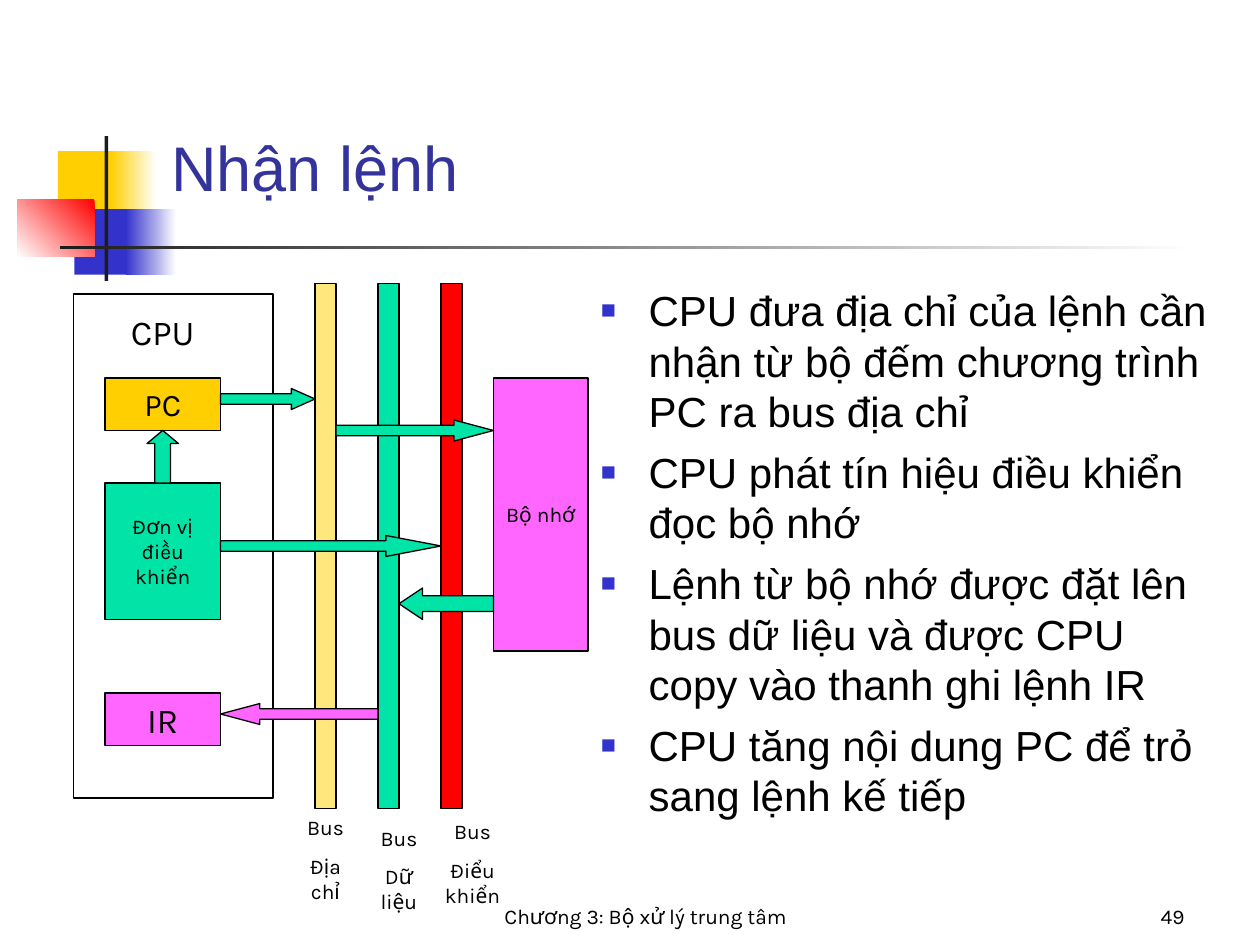
from lxml.etree import SubElement
from pptx import Presentation
from pptx.dml.color import RGBColor
from pptx.enum.shapes import MSO_SHAPE
from pptx.enum.text import MSO_ANCHOR, PP_ALIGN
from pptx.oxml.ns import qn
from pptx.util import Inches, Pt

COLORS = {
    "white": "FFFFFF", "black": "000000", "ink": "1C1C1C", "title": "33339B",
    "yellow": "FFCF01", "sand": "FFE67D", "blue": "3333CC", "red": "FF0000",
    "green": "00E4A8", "pink": "FF66FF",
}
UNIT = 1 / 12  # grid step in inches: the slide is 120 columns by 90 rows

TITLE = "Nhận lệnh"
BULLETS = [
    "CPU đưa địa chỉ của lệnh cần nhận từ bộ đếm chương trình PC ra bus địa chỉ",
    "CPU phát tín hiệu điều khiển đọc bộ nhớ",
    "Lệnh từ bộ nhớ được đặt lên bus dữ liệu và được CPU copy vào thanh ghi lệnh IR",
    "CPU tăng nội dung PC để trỏ sang lệnh kế tiếp",
]

# Decoration in inches: left, top, width, height, colours, gradient angle
DECOR = [
    (0.46, 1.2, 0.48, 0.52, ["yellow"], None),
    (0.88, 1.2, 0.36, 0.52, ["white", "yellow"], 180),
    (0.59, 1.66, 0.46, 0.52, ["blue"], None),
    (1, 1.66, 0.4, 0.52, ["white", "blue"], 180),
    (0.14, 1.58, 0.61, 0.46, ["red", "white"], 225),
    (0.83, 1.08, 0.03, 1.15, ["ink"], None),
    (0.48, 1.95, 9, 0.03, ["white", "ink"], 180),
]

# Diagram on the grid: column, row, columns, rows
BLOCKS = [
    ((7, 28, 19, 48), "white", [], 12),
    ((10, 36, 11, 5), "yellow", ["PC"], 18),
    ((10, 66, 11, 5), "pink", ["IR"], 20),
    ((10, 46, 11, 13), "green", ["Đơn vị", "điều", "khiển"], 12),
    ((47, 36, 9, 26), "pink", ["Bộ nhớ"], 12),
]
BUS_COLORS = ["sand", "green", "red"]
ARROWS = [
    ((21, 37, 9, 2), MSO_SHAPE.RIGHT_ARROW, "green"),
    ((21, 51, 21, 2), MSO_SHAPE.RIGHT_ARROW, "green"),
    ((21, 67, 15, 2), MSO_SHAPE.LEFT_ARROW, "pink"),
    ((32, 40, 15, 2), MSO_SHAPE.RIGHT_ARROW, "green"),
    ((38, 56, 9, 3), MSO_SHAPE.LEFT_ARROW, "green"),
    ((14, 41, 3, 5), MSO_SHAPE.UP_ARROW, "green"),
]
LABELS = [
    ((11, 29, 9, 5.3), ["CPU"], 20),
    ((28, 77, 6, 9.7), ["Bus", "Địa chỉ"], 12),
    ((35, 78, 6, 9.7), ["Bus", "Dữ liệu"], 12),
    ((40, 77.4, 10, 9.7), ["Bus", "Điểu khiển"], 12),
]
FOOTERS = [
    ((25, 83, 73, 6), "Chương 3: Bộ xử lý trung tâm", PP_ALIGN.CENTER),
    ((100, 83, 14, 6), "49", PP_ALIGN.RIGHT),
]


def rgb(name):
    return RGBColor.from_string(COLORS[name])


def grid(cells):
    return [Inches(n * UNIT) for n in cells]


def add_block(s, kind, box, colors, angle=None, outlined=True):
    """Add a flat shape filled with one colour or a two-colour gradient."""
    sp = s.shapes.add_shape(kind, *box)
    sp.shadow.inherit = False
    if angle is None:
        sp.fill.solid()
        sp.fill.fore_color.rgb = rgb(colors[0])
    else:
        sp.fill.gradient()
        sp.fill.gradient_angle = angle
        for stop, color in zip(sp.fill.gradient_stops, colors):
            stop.color.rgb = rgb(color)
    if outlined:
        sp.line.color.rgb = rgb("black")
        sp.line.width = Pt(0.75)
    else:
        sp.line.fill.background()
    return sp


def write(tf, lines, size, align, anchor=MSO_ANCHOR.TOP, font="Karla",
          color="black", gap=0, wrap=True, bullet=False):
    tf.word_wrap = wrap
    tf.vertical_anchor = anchor
    for i, line in enumerate(lines):
        p = tf.add_paragraph() if i else tf.paragraphs[0]
        p.alignment = align
        p.space_before = Pt(gap if i else 0)
        if bullet:
            add_bullet(p)
        r = p.add_run()
        r.text = line
        r.font.name, r.font.size = font, Pt(size)
        r.font.color.rgb = rgb(color)


def add_bullet(p):
    pPr = p._p.get_or_add_pPr()
    pPr.set("marL", str(Inches(0.38)))
    pPr.set("indent", str(-Inches(0.38)))
    SubElement(SubElement(pPr, qn("a:buClr")), qn("a:srgbClr"), val=COLORS["blue"])
    SubElement(pPr, qn("a:buSzPct"), val="60000")
    SubElement(pPr, qn("a:buFont"), typeface="Arial")
    SubElement(pPr, qn("a:buChar"), char="■")


def main():
    prs = Presentation()
    prs.slide_width, prs.slide_height = Inches(10), Inches(7.5)
    s = prs.slides.add_slide(prs.slide_layouts[5])

    for *box, colors, angle in DECOR:
        add_block(s, MSO_SHAPE.RECTANGLE, [Inches(n) for n in box], colors,
                  angle, outlined=False)

    title = s.shapes.title
    title.left, title.top, title.width, title.height = map(Inches, (1.26, 1, 8.52, 0.67))
    write(title.text_frame, [TITLE], 36, PP_ALIGN.LEFT, MSO_ANCHOR.BOTTOM,
          "Arial", "title")

    body = s.shapes.add_textbox(*map(Inches, (4.67, 2.21, 5.13, 4.5)))
    write(body.text_frame, BULLETS, 24, PP_ALIGN.LEFT, font="Arial", gap=6, bullet=True)

    for cells, color, lines, size in BLOCKS:
        sp = add_block(s, MSO_SHAPE.RECTANGLE, grid(cells), [color])
        write(sp.text_frame, lines, size, PP_ALIGN.CENTER, MSO_ANCHOR.MIDDLE, wrap=False)

    for i, color in enumerate(BUS_COLORS):
        add_block(s, MSO_SHAPE.RECTANGLE, grid((30 + 6 * i, 27, 2, 50)), [color])

    for cells, kind, color in ARROWS:
        sp = add_block(s, kind, grid(cells), [color])
        thickness, length = sorted(cells[2:])
        sp.adjustments[0] = 0.5
        sp.adjustments[1] = length / thickness / 4  # head takes a quarter of the length

    for cells, lines, size in LABELS:
        tb = s.shapes.add_textbox(*grid(cells))
        write(tb.text_frame, lines, size, PP_ALIGN.CENTER, gap=7.5)

    for cells, text, align in FOOTERS:
        tb = s.shapes.add_textbox(*grid(cells))
        write(tb.text_frame, [text], 12, align, MSO_ANCHOR.BOTTOM)

    prs.save("out.pptx")


if __name__ == "__main__":
    main()
